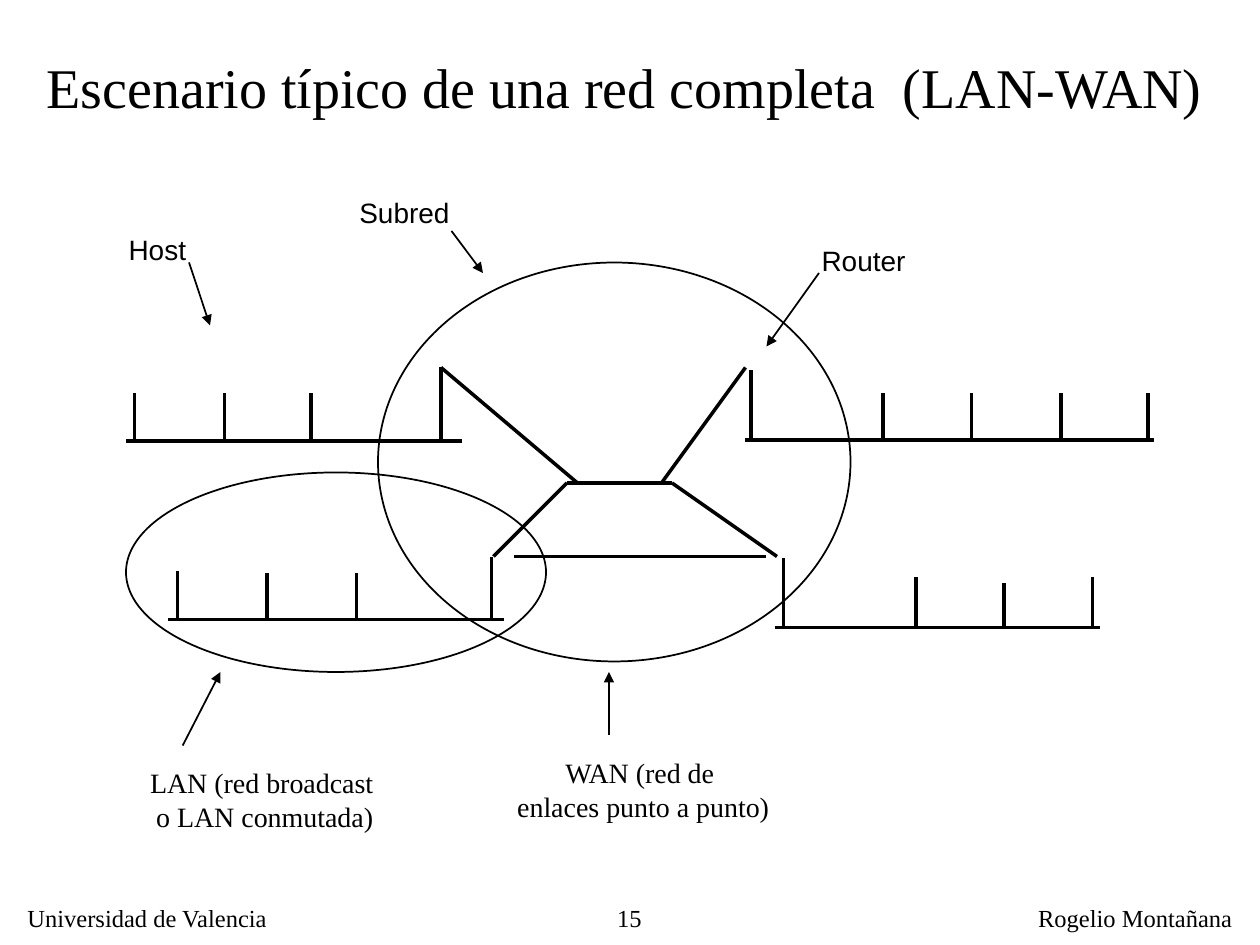
from pptx import Presentation
from pptx.util import Pt
from pptx.dml.color import RGBColor as Rgb
from pptx.enum.shapes import MSO_CONNECTOR as Conn, MSO_SHAPE as Form
from pptx.enum.text import MSO_AUTO_SIZE as Fit, PP_ALIGN as Align
from pptx.oxml.ns import qn
from lxml.etree import SubElement as Sub

THEME = {
    "ink": Rgb(0, 0, 0), "serif": "Times New Roman", "sans": "Arial",
    "title": 32, "label": 16, "foot": 14, "thick": 2, "thin": 1,
}

# Lines of text, left, top, width, height, font, size, alignment, wrap
TEXTS = [
    (["Escenario típico de una red completa  (LAN-WAN)"],
     18, 26.6, 678.2, 45.4, "serif", "title", Align.CENTER, False),
    (["Host"], 66.2, 129.6, 47.5, 26.6, "sans", "label", Align.CENTER, False),
    (["Router"], 462.2, 135.4, 62.6, 26.6, "sans", "label", Align.CENTER, False),
    (["Subred"], 198, 108, 66.2, 26.6, "sans", "label", Align.CENTER, False),
    (["WAN (red de ", "enlaces punto a punto)"],
     288, 428.4, 159.1, 46.1, "serif", "label", Align.CENTER, False),
    (["LAN (red broadcast", "o LAN conmutada)"],
     77.8, 434.2, 142.6, 46.1, "serif", "label", Align.RIGHT, False),
    (["Universidad de Valencia"],
     8.6, 512.6, 153.4, 23.8, "serif", "foot", Align.LEFT, False),
    (["15"], 297.4, 512.6, 76.3, 22.3, "serif", "foot", Align.RIGHT, True),
    (["Rogelio Montañana"],
     586.1, 512.6, 125.3, 23.8, "serif", "foot", Align.LEFT, False),
]

# Each LAN: bus start, bus end, bus height, then (x, top) of every stub;
# the first stub is the router, the others are hosts
LANS = [
    (72, 264, 252, [(252, 210), (77, 224.6), (128.2, 224.6), (177.8, 224.6)]),
    (96, 288, 354, [(280.8, 318.2), (101.5, 326.2), (152.6, 327.6), (203.6, 327.6)]),
    (425.5, 659.5, 251.3, [(429.1, 211.7), (504.7, 224.6), (555.1, 224.6),
                           (606.2, 224.6), (655.9, 224.6)]),
    (442.8, 628.6, 358.6, [(447.8, 319), (523.4, 329.8), (573.8, 333.4),
                           (624.2, 329.8)]),
]

# Point-to-point links of the WAN: x1, y1, x2, y2
LINKS = [
    (252, 210, 330, 276), (426, 210, 378, 276), (384, 276, 444, 318),
    (324, 276, 384, 276), (324, 276, 282, 318), (294, 318, 438, 318),
]

# From each label to what it names
ARROWS = [
    (108, 150, 120, 186), (468, 156, 438, 198), (258, 132, 276, 156),
    (104.4, 426, 126, 384), (348, 420, 348, 384),
]

# WAN and LAN outlines: left, top, width, height
OVALS = [(216, 150, 270, 228), (72, 270, 240, 114)]


def add_line(shapes, ends, width, arrow=False):
    line = shapes.add_connector(Conn.STRAIGHT, *map(Pt, ends))
    line.line.color.rgb = THEME["ink"]
    line.line.width = Pt(THEME[width])
    props = line._element.spPr
    if arrow:
        Sub(props.find(qn("a:ln")), qn("a:tailEnd"), type="triangle")
    Sub(props, qn("a:effectLst"))


def add_oval(shapes, box):
    oval = shapes.add_shape(Form.OVAL, *map(Pt, box))
    oval.shadow.inherit = False
    oval.fill.background()
    oval.line.color.rgb = THEME["ink"]
    oval.line.width = Pt(THEME["thin"])


def add_text(shapes, lines, left, top, width, height, face, size, align, wrap):
    box = shapes.add_textbox(Pt(left), Pt(top), Pt(width), Pt(height))
    frame = box.text_frame
    frame.word_wrap = wrap
    frame.auto_size = Fit.NONE if wrap else Fit.SHAPE_TO_FIT_TEXT
    for num, text in enumerate(lines):
        para = frame.add_paragraph() if num else frame.paragraphs[0]
        para.alignment = align
        run = para.add_run()
        run.text = text
        run.font.name = THEME[face]
        run.font.size = Pt(THEME[size])
        run.font.color.rgb = THEME["ink"]


def main():
    deck = Presentation()
    deck.slide_width, deck.slide_height = Pt(720), Pt(540)
    shapes = deck.slides.add_slide(deck.slide_layouts[6]).shapes

    # Networks
    for link in LINKS:
        add_line(shapes, link, "thick")
    for start, end, base, stubs in LANS:
        add_line(shapes, (start, base, end, base), "thick")
        for x, top in stubs:
            add_line(shapes, (x, top, x, base), "thick")

    # Outlines and pointers
    for box in OVALS:
        add_oval(shapes, box)
    for ends in ARROWS:
        add_line(shapes, ends, "thin", arrow=True)

    # Title, labels and footer
    for item in TEXTS:
        add_text(shapes, *item)

    deck.save("out.pptx")


if __name__ == "__main__":
    main()
